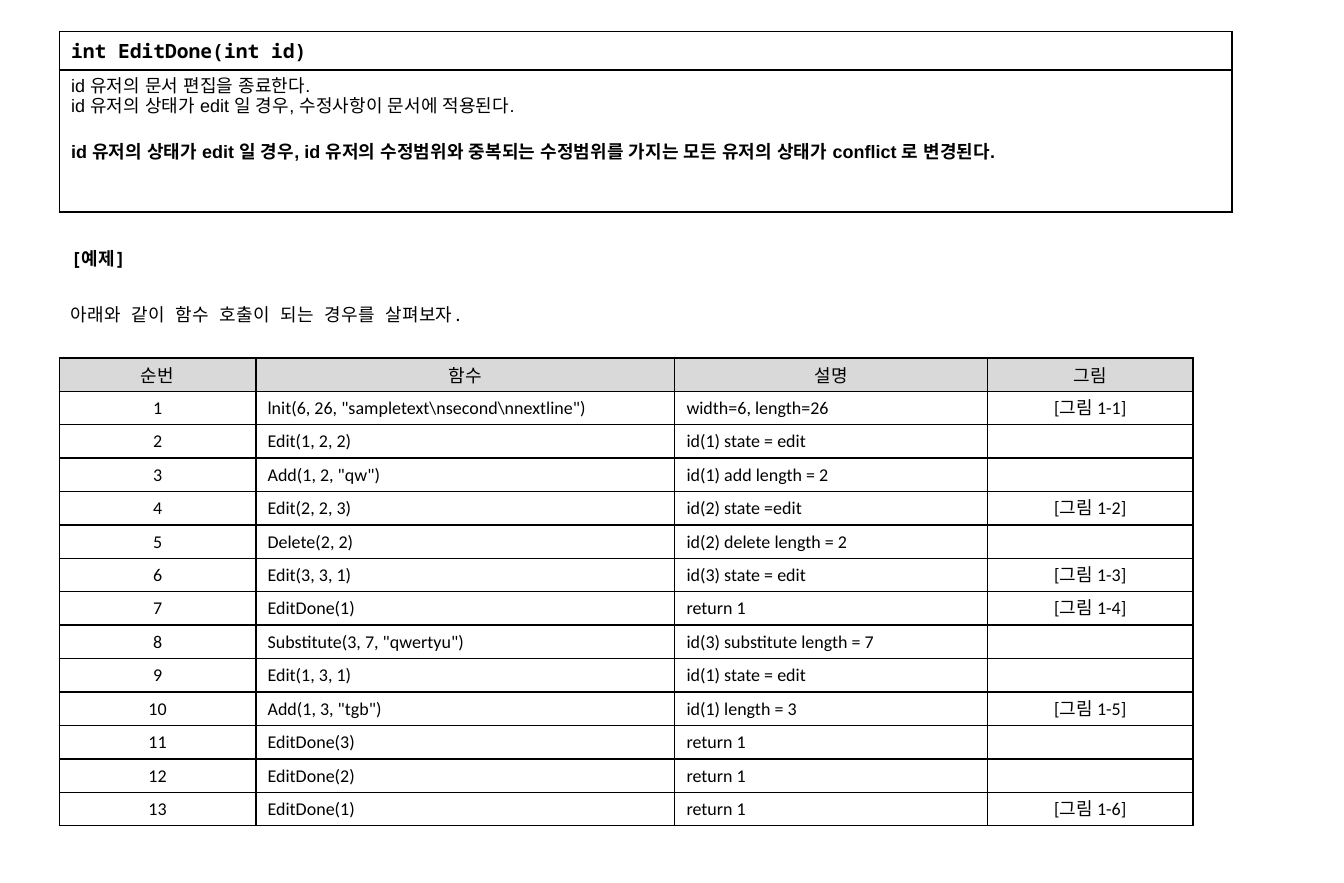
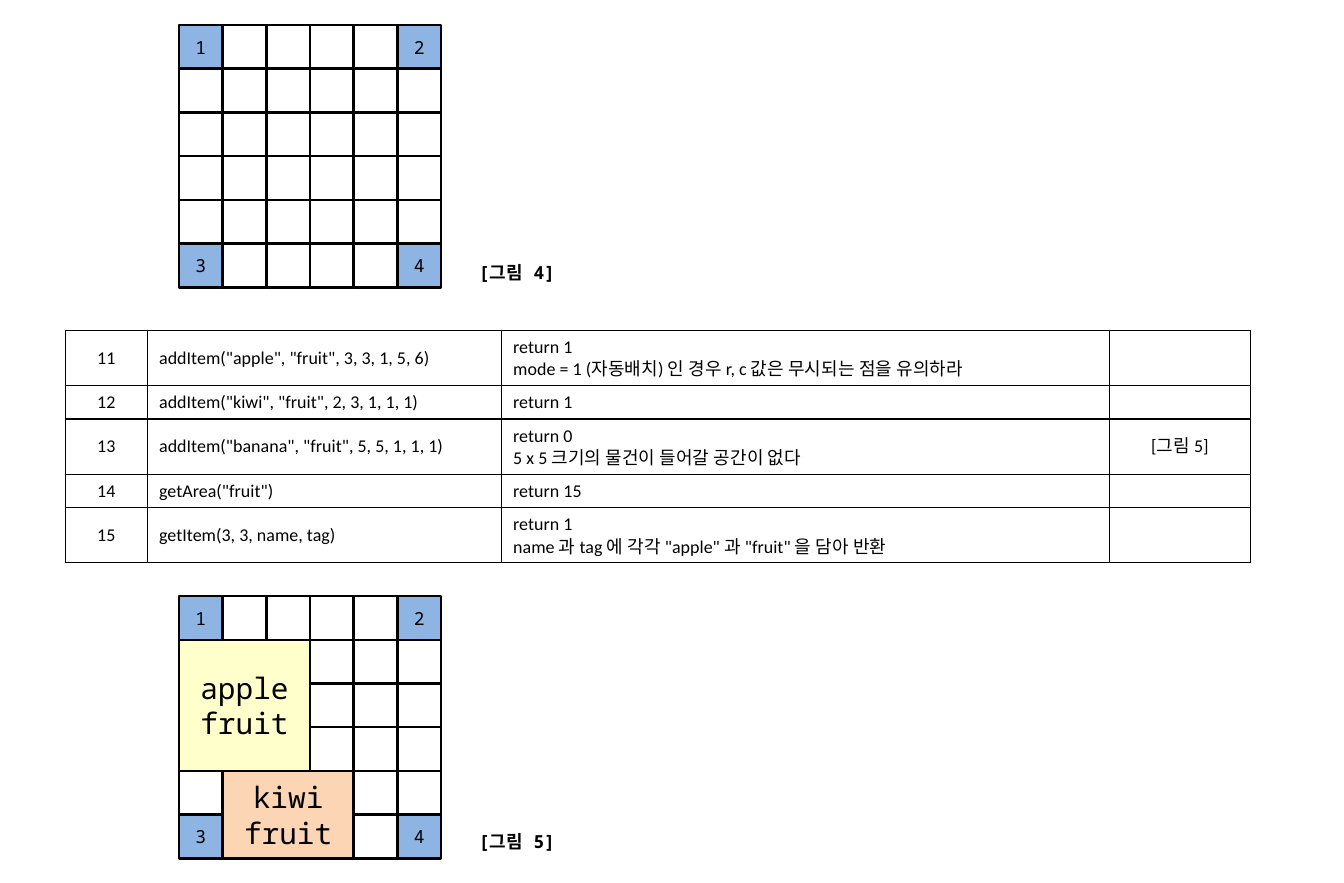
"""Build two pages that explain function call examples with tables and grids."""
from dataclasses import dataclass
from typing import Any

from lxml import etree
from pptx import Presentation
from pptx import util as u
from pptx.dml.color import RGBColor
from pptx.enum import shapes, text
from pptx.oxml import ns


@dataclass(frozen=True)
class Theme:
    black: RGBColor = RGBColor(0x00, 0x00, 0x00)
    header: RGBColor = RGBColor(0xD9, 0xD9, 0xD9)
    corner: RGBColor = RGBColor(0x8E, 0xB4, 0xE3)
    yellow: RGBColor = RGBColor(0xFF, 0xFF, 0xCC)
    orange: RGBColor = RGBColor(0xFC, 0xD5, 0xB5)
    mono: str = "Noto Sans Mono"
    sans: str = "Arial"
    table: str = "Calibri"
    body: int = 11
    signature: int = 12
    item: int = 18
    border: float = 1
    outline: float = 1.5
    spacing: float = 1.3


THEME = Theme()
CENTER = text.PP_ALIGN.CENTER
LEFT = text.PP_ALIGN.LEFT
MIDDLE = text.MSO_ANCHOR.MIDDLE
TOP = text.MSO_ANCHOR.TOP


@dataclass(frozen=True)
class Style:
    font: str
    size: int = THEME.body
    align: Any = LEFT
    spacing: float | None = None


@dataclass(frozen=True)
class Line:
    words: str
    bold: bool = False
    before: float = 0


@dataclass(frozen=True)
class Entry:
    lines: tuple[Line, ...]
    style: Style
    anchor: Any = MIDDLE
    fill: RGBColor | None = None


@dataclass(frozen=True)
class Call:
    code: str
    result: str
    figure: str = ""


@dataclass(frozen=True)
class Item:
    words: str
    column: int
    row: int
    columns: int
    rows: int
    fill: RGBColor


@dataclass(frozen=True)
class Diagram:
    top: float
    caption_top: float
    figure: str
    items: tuple[Item, ...] = ()


GRID_LEFT = 3.86
GRID_COUNT = 6
GRID_STEP = 5.66 / GRID_COUNT
CORNERS = {(0, 0): "1", (5, 0): "2", (0, 5): "3", (5, 5): "4"}

CODE = Style(THEME.table)
CODE_CENTER = Style(THEME.table, align=CENTER)
HEADING = Style(THEME.mono, align=CENTER)
NOTE = Style(THEME.mono, spacing=THEME.spacing)

SIGNATURE = [
    [Entry((Line("int EditDone(int id)", bold=True),), Style(THEME.mono, THEME.signature))],
    [Entry((
        Line("id 유저의 문서 편집을 종료한다."),
        Line("id 유저의 상태가 edit 일 경우, 수정사항이 문서에 적용된다."),
        Line("id 유저의 상태가 edit 일 경우, id 유저의 수정범위와 중복되는 "
             "수정범위를 가지는 모든 유저의 상태가 conflict 로 변경된다.", bold=True, before=16),
    ), Style(THEME.sans), TOP)],
]

EDIT_CALLS = [
    Call('lnit(6, 26, "sampletext\\nsecond\\nnextline")', "width=6, length=26", "1-1"),
    Call("Edit(1, 2, 2)", "id(1) state = edit"),
    Call('Add(1, 2, "qw")', "id(1) add length = 2"),
    Call("Edit(2, 2, 3)", "id(2) state =edit", "1-2"),
    Call("Delete(2, 2)", "id(2) delete length = 2"),
    Call("Edit(3, 3, 1)", "id(3) state = edit", "1-3"),
    Call("EditDone(1)", "return 1", "1-4"),
    Call('Substitute(3, 7, "qwertyu")', "id(3) substitute length = 7"),
    Call("Edit(1, 3, 1)", "id(1) state = edit"),
    Call('Add(1, 3, "tgb")', "id(1) length = 3", "1-5"),
    Call("EditDone(3)", "return 1"),
    Call("EditDone(2)", "return 1"),
    Call("EditDone(1)", "return 1", "1-6"),
]

ITEM_CALLS = [
    Call('addItem("apple", "fruit", 3, 3, 1, 5, 6)',
         "return 1\nmode = 1 (자동배치) 인 경우 r, c 값은 무시되는 점을 유의하라"),
    Call('addItem("kiwi", "fruit", 2, 3, 1, 1, 1)', "return 1"),
    Call('addItem("banana", "fruit", 5, 5, 1, 1, 1)',
         "return 0\n5 x 5 크기의 물건이 들어갈 공간이 없다", "5"),
    Call('getArea("fruit")', "return 15"),
    Call("getItem(3, 3, name, tag)",
         'return 1\nname 과 tag 에 각각 "apple" 과 "fruit" 을 담아 반환'),
]

DIAGRAMS = [
    Diagram(0.54, 5.38, "4"),
    Diagram(12.86, 17.65, "5", (
        Item("apple fruit", 0, 1, 3, 3, THEME.yellow),
        Item("kiwi fruit", 1, 4, 3, 2, THEME.orange),
    )),
]


def write(frame: Any, lines: tuple[Line, ...], style: Style) -> None:
    """Fill a text frame with one paragraph per line."""
    frame.word_wrap = True
    for index, line in enumerate(lines):
        para = frame.paragraphs[0] if index == 0 else frame.add_paragraph()
        para.alignment = style.align
        if style.spacing:
            para.line_spacing = style.spacing
        if line.before:
            para.space_before = u.Pt(line.before)
        font = para.font
        font.name = style.font
        font.size = u.Pt(style.size)
        font.bold = line.bold
        font.color.rgb = THEME.black
        defaults = para._p.find(".//" + ns.qn("a:defRPr"))
        latin = defaults.find(ns.qn("a:latin"))
        east = etree.Element(ns.qn("a:ea"), typeface=style.font)
        latin.addnext(east)
        if line.words:
            para.add_run().text = line.words
        else:
            etree.SubElement(para._p, ns.qn("a:endParaRPr"), sz=str(style.size * 100))


def add_borders(cell: Any) -> None:
    """Draw a thin black line on each side of a cell."""
    properties = cell._tc.get_or_add_tcPr()
    for side in ("lnL", "lnR", "lnT", "lnB"):
        line = etree.SubElement(properties, ns.qn(f"a:{side}"), w=str(u.Pt(THEME.border)))
        fill = etree.SubElement(line, ns.qn("a:solidFill"))
        etree.SubElement(fill, ns.qn("a:srgbClr"), val=str(THEME.black))


def add_table(page: Any, left: float, top: float, widths: list[float],
              heights: list[float], entries: list[list[Entry]]) -> None:
    """Place a bordered table of entries, with lengths in centimetres."""
    table = page.shapes.add_table(len(heights), len(widths), u.Cm(left), u.Cm(top),
                                  u.Cm(sum(widths)), u.Cm(sum(heights))).table
    table.first_row = table.horz_banding = False
    for column, width in zip(table.columns, widths):
        column.width = u.Cm(width)
    for row, height, row_entries in zip(table.rows, heights, entries):
        row.height = u.Cm(height)
        for cell, entry in zip(row.cells, row_entries):
            add_borders(cell)
            if entry.fill is None:
                cell.fill.background()
            else:
                cell.fill.solid()
                cell.fill.fore_color.rgb = entry.fill
            cell.vertical_anchor = entry.anchor
            write(cell.text_frame, entry.lines, entry.style)


def figure_label(figure: str) -> str:
    """Return the bracketed label of a figure."""
    return f"[그림 {figure}]" if figure else ""


def call_rows(calls: list[Call], first: int) -> list[list[Entry]]:
    """Turn numbered calls into table rows."""
    return [
        [Entry((Line(str(number)),), CODE_CENTER),
         Entry((Line(call.code),), CODE),
         Entry(tuple(Line(words) for words in call.result.split("\n")), CODE),
         Entry((Line(figure_label(call.figure)),), CODE_CENTER)]
        for number, call in enumerate(calls, first)
    ]


def add_note(page: Any, left: float, top: float, width: float, height: float,
             lines: tuple[Line, ...]) -> None:
    """Place a text box that grows with its lines."""
    box = page.shapes.add_textbox(u.Cm(left), u.Cm(top), u.Cm(width), u.Cm(height))
    write(box.text_frame, lines, NOTE)
    box.text_frame.auto_size = text.MSO_AUTO_SIZE.SHAPE_TO_FIT_TEXT


def add_block(group: Any, top: float, item: Item | None, column: int, row: int) -> None:
    """Draw one outlined block, either an empty cell or an item."""
    columns, rows = (item.columns, item.rows) if item else (1, 1)
    box = group.shapes.add_shape(
        shapes.MSO_SHAPE.RECTANGLE,
        u.Cm(GRID_LEFT + column * GRID_STEP), u.Cm(top + row * GRID_STEP),
        u.Cm(columns * GRID_STEP), u.Cm(rows * GRID_STEP))
    box.shadow.inherit = False
    box.line.color.rgb = THEME.black
    box.line.width = u.Pt(THEME.outline)
    if item is None:
        box.fill.background()
        return
    box.fill.solid()
    box.fill.fore_color.rgb = item.fill
    size = THEME.body if columns == 1 else THEME.item
    box.text_frame.vertical_anchor = MIDDLE
    write(box.text_frame, (Line(item.words),), Style(THEME.mono, size, CENTER))


def add_diagram(page: Any, diagram: Diagram) -> None:
    """Draw a grid with numbered corners, its items and its caption."""
    group = page.shapes.add_group_shape()
    for row in range(GRID_COUNT):
        for column in range(GRID_COUNT):
            number = CORNERS.get((column, row))
            corner = Item(number, column, row, 1, 1, THEME.corner) if number else None
            add_block(group, diagram.top, corner, column, row)
    for item in diagram.items:
        add_block(group, diagram.top, item, item.column, item.row)
    caption = Line(figure_label(diagram.figure), bold=True)
    add_note(page, 10.08, diagram.caption_top, 2.26, 0.81, (caption,))


def main() -> None:
    """Build and save the deck."""
    deck = Presentation()
    deck.slide_width, deck.slide_height = u.Cm(29), u.Cm(19.05)
    blank = deck.slide_layouts[6]

    page = deck.slides.add_slide(blank)
    add_table(page, 1.28, 0.68, [25.3], [0.83, 3.06], SIGNATURE)
    add_note(page, 1.28, 5.08, 9.25, 2.03, (
        Line("[예제]", bold=True),
        Line("아래와 같이 함수 호출이 되는 경우를 살펴보자.", before=17),
    ))
    headings = [Entry((Line(words),), HEADING, fill=THEME.header)
                for words in ("순번", "함수", "설명", "그림")]
    rows = [headings, *call_rows(EDIT_CALLS, 1)]
    add_table(page, 1.28, 7.72, [4.24, 9.04, 6.75, 4.43], [0.72] * len(rows), rows)

    page = deck.slides.add_slide(blank)
    heights = [1.19 if "\n" in call.result else 0.72 for call in ITEM_CALLS]
    add_table(page, 1.41, 7.13, [1.77, 7.64, 13.12, 3.04], heights, call_rows(ITEM_CALLS, 11))
    for diagram in DIAGRAMS:
        add_diagram(page, diagram)

    deck.save("out.pptx")


if __name__ == "__main__":
    main()
